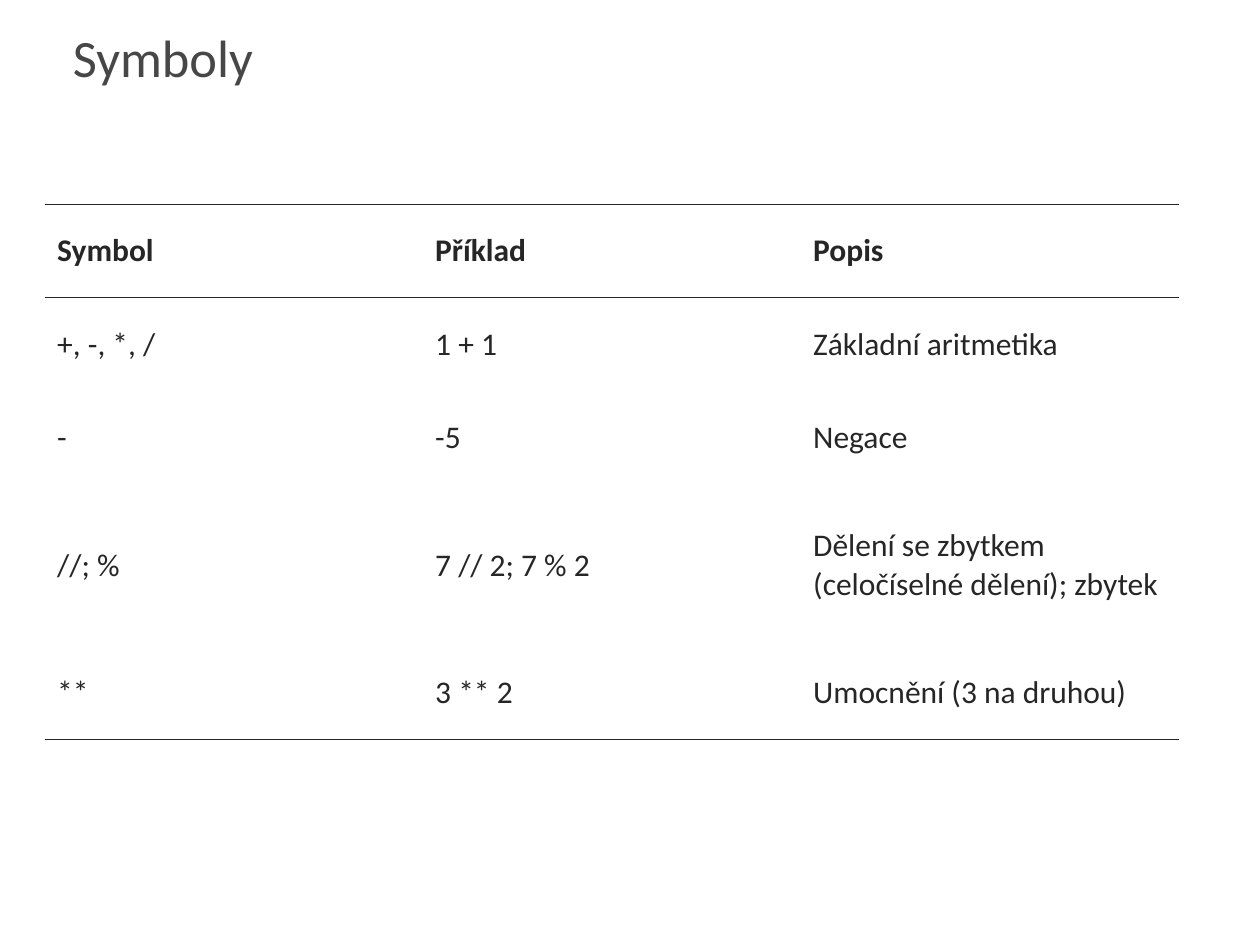
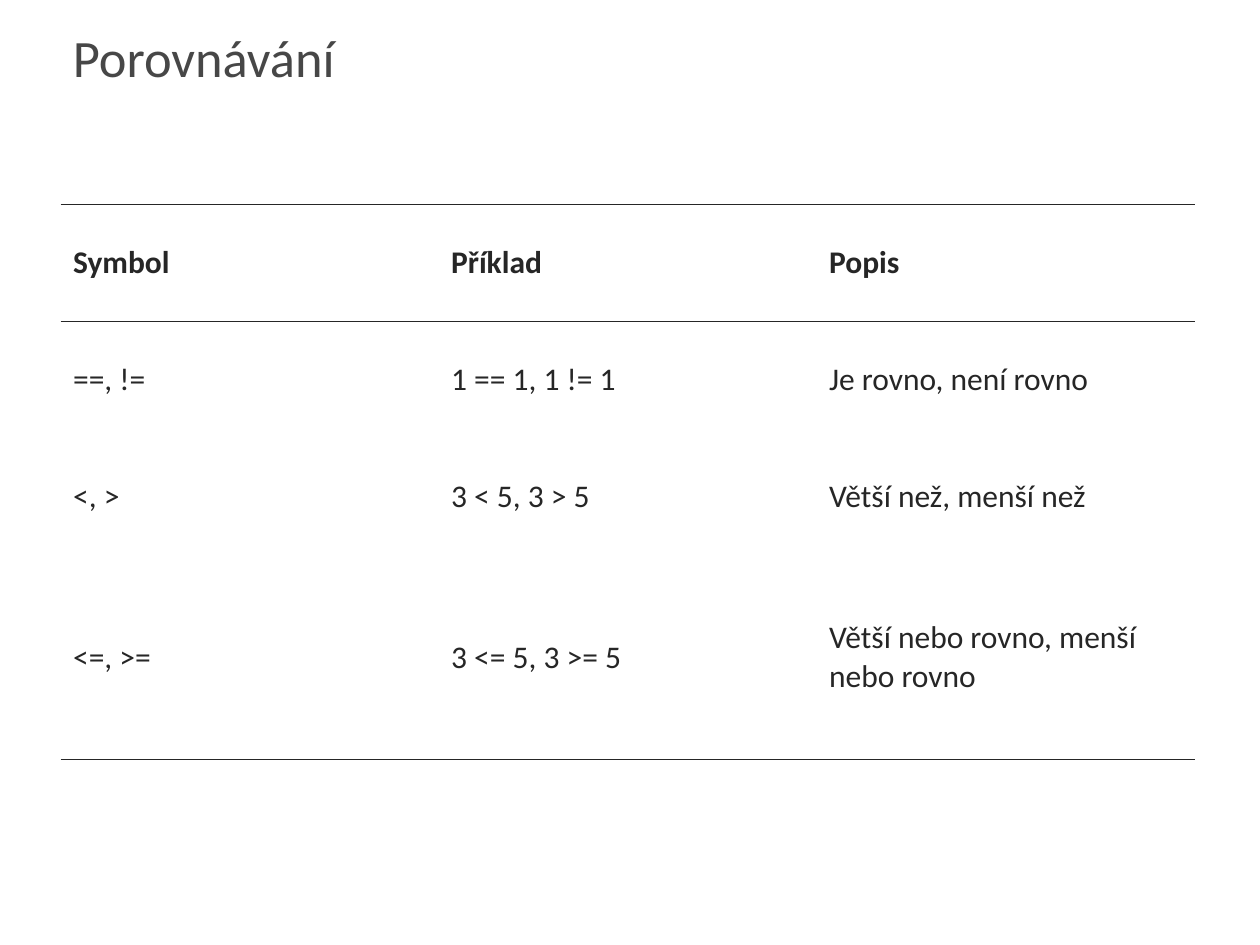
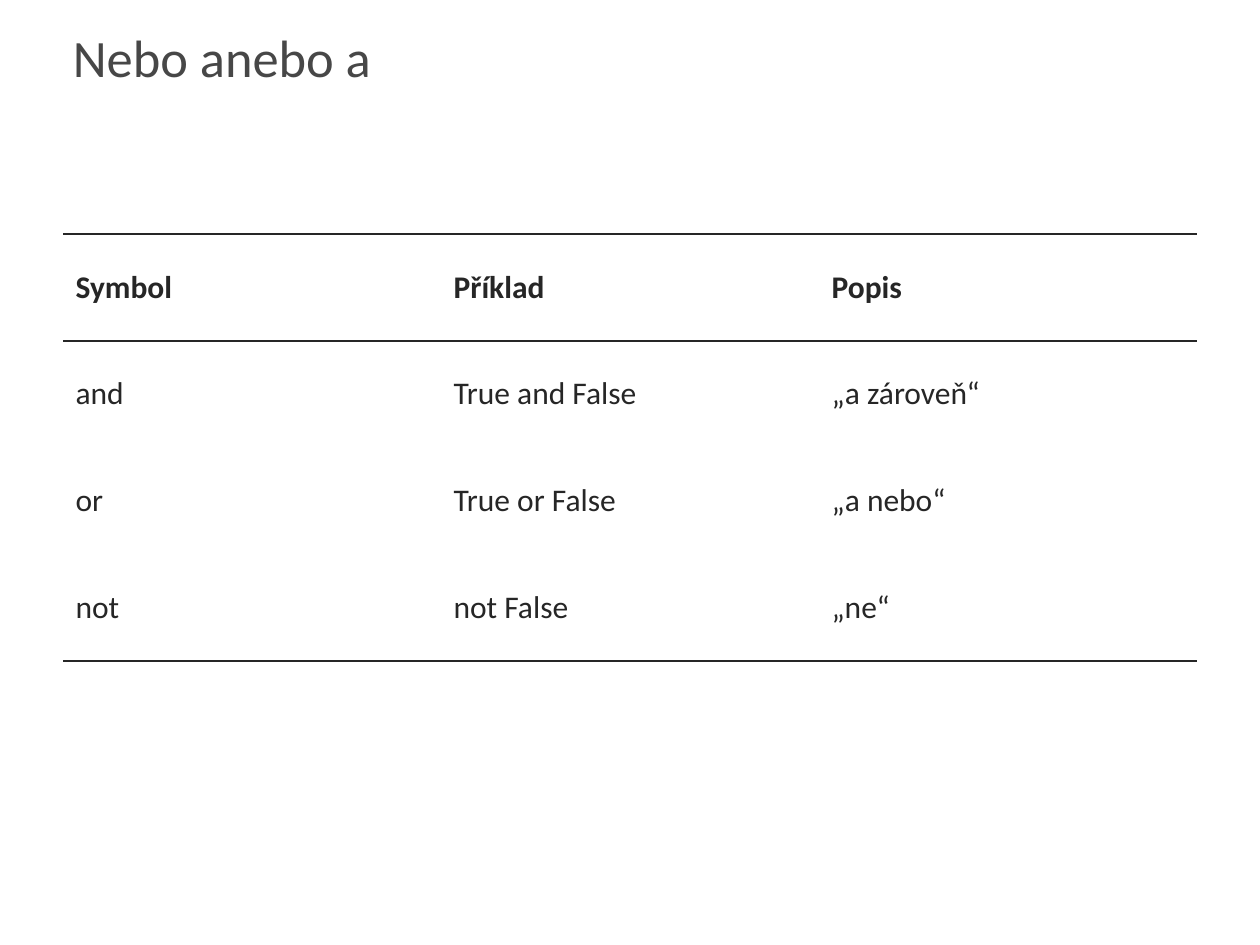
from lxml.etree import SubElement
from pptx import Presentation
from pptx.dml.color import RGBColor
from pptx.enum.text import MSO_ANCHOR as Anchor
from pptx.oxml.ns import qn
from pptx.util import Cm, Pt

COLORS = {"background": "FFFFFF", "title": "474747", "ink": "262626"}
FONT = "Calibri"
TITLE_SIZE, CELL_SIZE, RULE_WIDTH = 30, 18, 1
PLAIN_STYLE = "{2D5ABB26-0587-4C30-8999-92F81FD0307C}"

SLIDE_SIZE = (25.4, 19.05)
TITLE_BOX = (1.22, 0.2, 23.34, 1.9)
TABLE_WIDTH = 22.86
TALL_ROW = 1.74
HEADINGS = ("Symbol", "Příklad", "Popis")

TOPICS = [
    {
        "title": "Symboly",
        "corner": (0.9, 4.12),
        "row_height": 1.88,
        "tall_row": 3,
        "operators": [
            ("+, -, *, /", "1 + 1", "Základní aritmetika"),
            ("-", "-5", "Negace"),
            ("//; %", "7 // 2; 7 % 2",
             "Dělení se zbytkem (celočíselné dělení); zbytek"),
            ("**", "3 ** 2", "Umocnění (3 na druhou)"),
        ],
    },
    {
        "title": "Porovnávání",
        "corner": (1.22, 4.12),
        "row_height": 2.36,
        "tall_row": 3,
        "operators": [
            ("==, !=", "1 == 1, 1 != 1", "Je rovno, není rovno"),
            ("<, >", "3 < 5, 3 > 5", "Větší než, menší než"),
            ("<=, >=", "3 <= 5, 3 >= 5", "Větší nebo rovno, menší nebo rovno"),
        ],
    },
    {
        "title": "Nebo anebo a",
        "corner": (1.27, 4.72),
        "row_height": 2.15,
        "tall_row": None,
        "operators": [
            ("and", "True and False", "„a zároveň“"),
            ("or", "True or False", "„a nebo“"),
            ("not", "not False", "„ne“"),
        ],
    },
]


def format_text(frame, size, color, bold=False):
    for paragraph in frame.paragraphs:
        for run in paragraph.runs:
            run.font.name = FONT
            run.font.size = Pt(size)
            run.font.bold = bold
            run.font.color.rgb = RGBColor.from_string(COLORS[color])


def add_title(slide, title, box):
    frame = slide.shapes.add_textbox(*map(Cm, box)).text_frame
    frame.word_wrap = True
    frame.vertical_anchor = Anchor.MIDDLE
    frame.text = title
    format_text(frame, TITLE_SIZE, "title")


def add_rule(cell, edge):
    rule = SubElement(cell._tc.get_or_add_tcPr(), qn(f"a:{edge}"),
                      w=str(Pt(RULE_WIDTH)))
    fill = SubElement(rule, qn("a:solidFill"))
    SubElement(fill, qn("a:srgbClr"), val=COLORS["ink"])


def fill_cell(cell, wording, is_heading, is_last):
    cell.text_frame.text = wording
    cell.vertical_anchor = Anchor.MIDDLE
    format_text(cell.text_frame, CELL_SIZE, "ink", bold=is_heading)
    if is_heading:
        add_rule(cell, "lnT")
    if is_heading or is_last:
        add_rule(cell, "lnB")
    cell.fill.background()


def add_operator_table(slide, operators, corner, row_height, tall_row):
    lines = [HEADINGS, *operators]
    heights = [row_height * (TALL_ROW if number == tall_row else 1)
               for number in range(len(lines))]
    box = (*corner, TABLE_WIDTH, sum(heights))
    table = slide.shapes.add_table(
        len(lines), len(HEADINGS), *map(Cm, box)).table
    table.horz_banding = False
    table._tbl.tblPr.find(qn("a:tableStyleId")).text = PLAIN_STYLE
    for column in table.columns:
        column.width = Cm(TABLE_WIDTH / len(HEADINGS))
    for number, (line, height) in enumerate(zip(lines, heights)):
        table.rows[number].height = Cm(height)
        for cell, wording in zip(table.rows[number].cells, line):
            fill_cell(cell, wording, number == 0, number == len(lines) - 1)


def add_topic_slide(deck, topic):
    slide = deck.slides.add_slide(deck.slide_layouts[6])
    background = slide.background.fill
    background.solid()
    background.fore_color.rgb = RGBColor.from_string(COLORS["background"])
    add_title(slide, topic["title"], TITLE_BOX)
    add_operator_table(slide, topic["operators"], topic["corner"],
                       topic["row_height"], topic["tall_row"])


def main():
    deck = Presentation()
    deck.slide_width, deck.slide_height = map(Cm, SLIDE_SIZE)
    for topic in TOPICS:
        add_topic_slide(deck, topic)
    deck.save("out.pptx")


if __name__ == "__main__":
    main()
